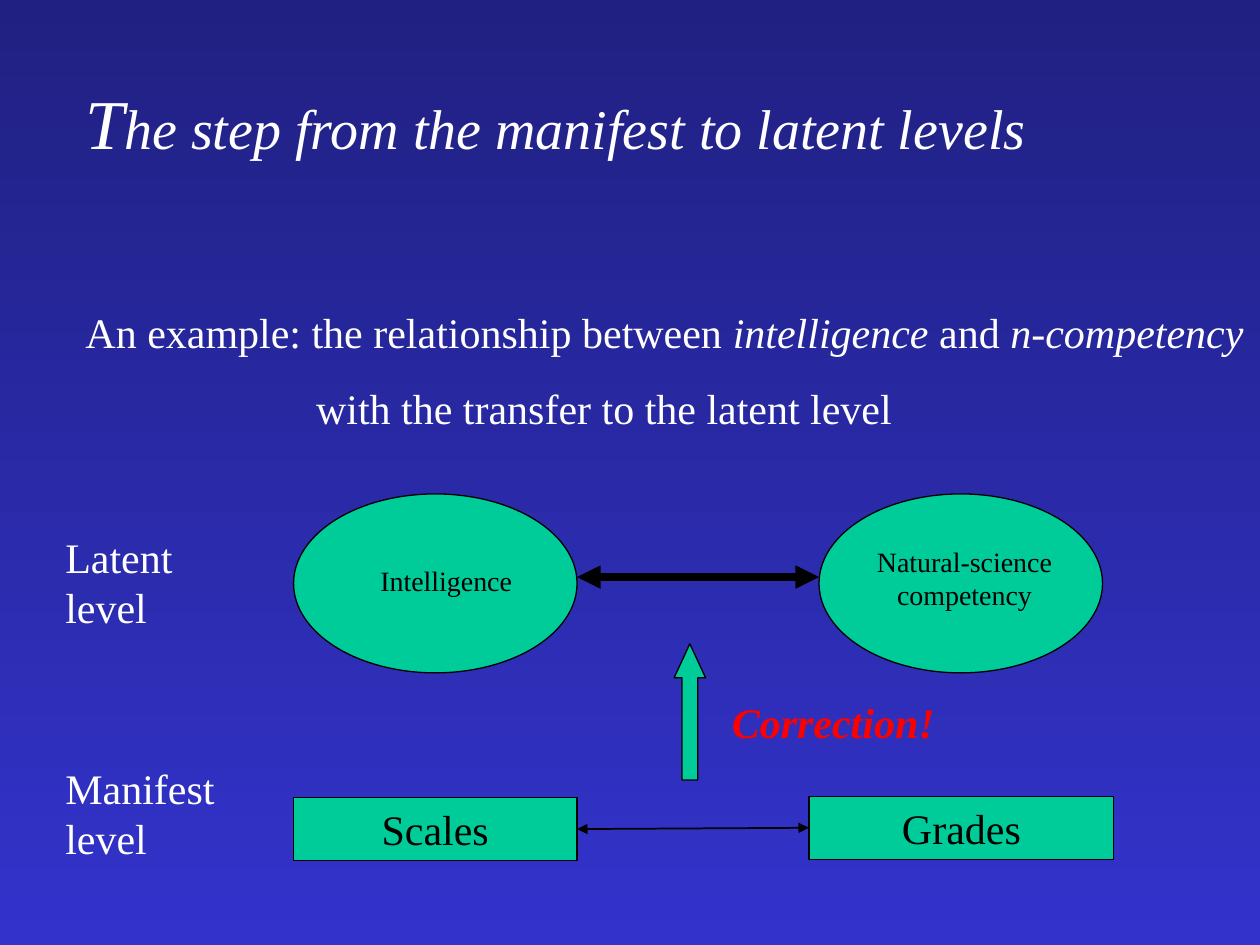
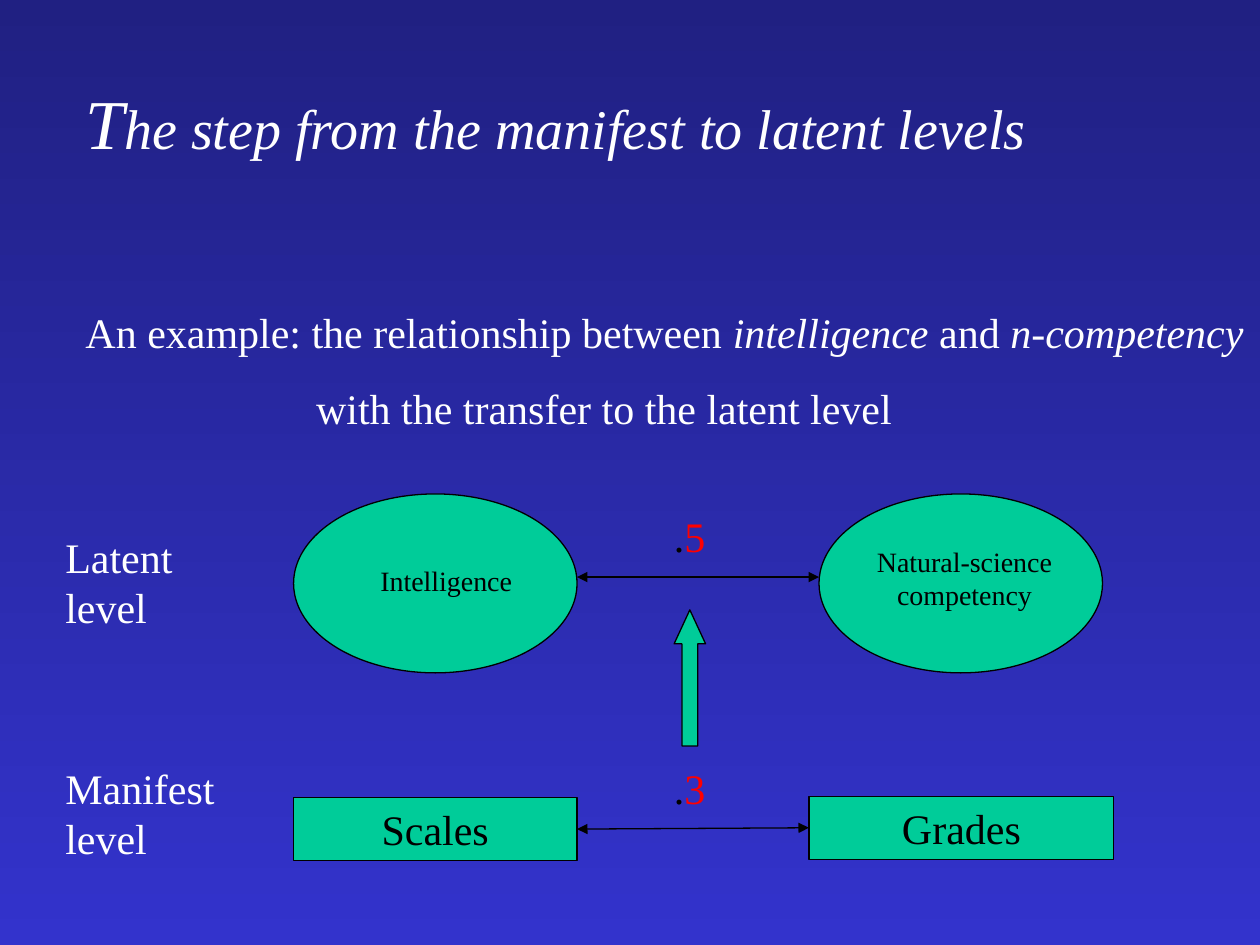
"""Build two slides on the step from manifest to latent levels."""
from pptx import Presentation
from pptx.dml.color import RGBColor
from pptx.enum.shapes import MSO_CONNECTOR as Conn, MSO_SHAPE as Kind
from pptx.enum.text import PP_ALIGN as Align
from pptx.oxml.ns import qn
from pptx.util import Inches, Pt
from lxml.etree import SubElement

NAVY = RGBColor(0x20, 0x20, 0x82)
BLUE = RGBColor(0x33, 0x33, 0xCC)
GREEN = RGBColor(0x00, 0xCC, 0x99)
WHITE = RGBColor(0xFF, 0xFF, 0xFF)
BLACK = RGBColor(0x00, 0x00, 0x00)
RED = RGBColor(0xFF, 0x00, 0x00)
FACE = "Times New Roman"


def write(slide, box, text, size=24, color=WHITE, italic=False, align=Align.LEFT):
    frame = slide.shapes.add_textbox(*map(Inches, box)).text_frame
    frame.word_wrap = True
    frame.text = text
    for para in frame.paragraphs:
        para.alignment = align
        for run in para.runs:
            font = run.font
            font.name, font.size, font.italic = FACE, Pt(size), italic
            font.color.rgb = color
    return frame


def block(slide, kind, box, text=""):
    shape = slide.shapes.add_shape(kind, *map(Inches, box))
    shape.shadow.inherit = False
    shape.fill.solid()
    shape.fill.fore_color.rgb = GREEN
    shape.line.color.rgb = BLACK
    shape.line.width = Pt(0.75)
    if text:
        para = shape.text_frame.paragraphs[0]
        para.text = text
        para.alignment = Align.CENTER
        font = para.runs[0].font
        font.name, font.size = FACE, Pt(24)
        font.color.rgb = BLACK
    return shape


deck = Presentation()
deck.slide_width, deck.slide_height = Inches(10), Inches(7.5)

for widths, rise, values in [
    ((4.5, 1), 5.11, []),
    ((0.75, 0.75), 4.84, [(4, 1.08, "5"), (6, 0.58, "3")]),
]:
    slide = deck.slides.add_slide(deck.slide_layouts[6])
    back = slide.background.fill
    back.gradient()
    back.gradient_angle = 270
    for stop, shade in zip(back.gradient_stops, (NAVY, BLUE)):
        stop.color.rgb = shade

    title = write(slide, (0.58, 0.58, 8.83, 0.77), "T", 40, italic=True)
    rest = title.paragraphs[0].add_run()
    rest.text = "he step from the manifest to latent levels"
    rest.font.name, rest.font.size, rest.font.italic = FACE, Pt(32), True
    rest.font.color.rgb = WHITE

    lead = write(slide, (0.58, 2.38, 9.42, 1.72),
                 "An example: the relationship between \nwith the transfer to the latent level")
    first, second = lead.paragraphs
    for words, slant in [("intelligence ", True), ("and ", False), ("n-competency", True)]:
        run = first.add_run()
        run.text = words
        run.font.name, run.font.size, run.font.italic = FACE, Pt(24), slant
        run.font.color.rgb = WHITE
    second.space_before = Pt(15)
    props = second._p.get_or_add_pPr()
    props.set("marL", str(Inches(1.83)))
    props.set("indent", "0")

    for left in (2.33, 6.5):
        block(slide, Kind.OVAL, (left, 3.92, 2.25, 1.42))
    write(slide, (2.92, 4.42, 1.38, 0.37), "Intelligence", 16, BLACK)
    write(slide, (6.66, 4.27, 1.99, 0.64), "Natural-science competency", 16, BLACK,
          align=Align.CENTER)
    write(slide, (0.42, 4.17, 1.33, 0.9), "Latent level")
    write(slide, (0.42, 6, 1.58, 0.9), "Manifest level")
    scales = block(slide, Kind.RECTANGLE, (2.33, 6.33, 2.25, 0.5), "Scales")
    grades = block(slide, Kind.RECTANGLE, (6.42, 6.32, 2.42, 0.5), "Grades")

    links = []
    for width, end, y in zip(widths, (6.5, 6.42), (4.58, 6.58)):
        link = slide.shapes.add_connector(
            Conn.STRAIGHT, Inches(4.58), Inches(y), Inches(end), Inches(y))
        link.line.color.rgb = BLACK
        link.line.width = Pt(width)
        for tip in ("a:headEnd", "a:tailEnd"):
            SubElement(link.line._ln, qn(tip), type="triangle")
        SubElement(link._element.spPr, qn("a:effectLst"))
        links.append(link)
    links[1].begin_connect(scales, 3)
    links[1].end_connect(grades, 1)

    arrow = block(slide, Kind.UP_ARROW, (5.35, rise, 0.25, 1.08))
    arrow.adjustments[1] = 1.08

    for top, width, digit in values:
        mark = write(slide, (5.25, top, width, 0.5), ".", color=BLACK)
        run = mark.paragraphs[0].add_run()
        run.text = digit
        run.font.name, run.font.size = FACE, Pt(24)
        run.font.color.rgb = RED
    if not values:
        note = write(slide, (5.71, 5.48, 2.13, 0.5), "Correction!", color=RED, italic=True)
        note.paragraphs[0].runs[0].font.bold = True

deck.save("out.pptx")
